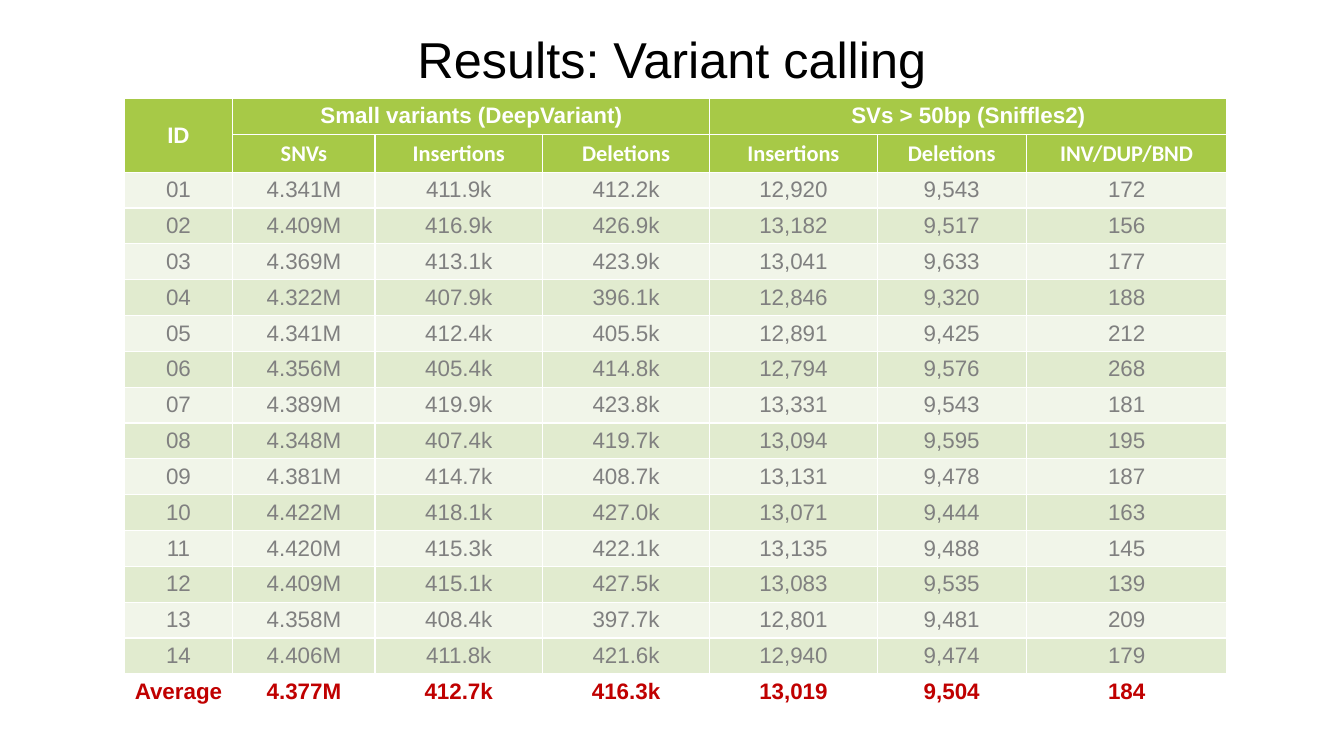
import pptx
import pptx.util
import pptx.oxml
import pptx.dml.color
import pptx.enum.text
from lxml import etree

RGBColor = pptx.dml.color.RGBColor
WHITE = RGBColor(0xFF, 0xFF, 0xFF)
BLACK = RGBColor(0x00, 0x00, 0x00)
GREEN = RGBColor(0xA7, 0xC9, 0x47)
PALE = RGBColor(0xF1, 0xF5, 0xE9)
LIGHT = RGBColor(0xE1, 0xEB, 0xCF)
GREY = RGBColor(0x80, 0x80, 0x80)
RED = RGBColor(0xC0, 0x00, 0x00)

Inches = pptx.util.Inches
Pt = pptx.util.Pt
ANCHOR = pptx.enum.text.MSO_ANCHOR
CENTER = pptx.enum.text.PP_ALIGN.CENTER

DATA = """
ID|Small variants (DeepVariant)|||SVs > 50bp (Sniffles2)||
|SNVs|Insertions|Deletions|Insertions|Deletions|INV/DUP/BND
01|4.341M|411.9k|412.2k|12,920|9,543|172
02|4.409M|416.9k|426.9k|13,182|9,517|156
03|4.369M|413.1k|423.9k|13,041|9,633|177
04|4.322M|407.9k|396.1k|12,846|9,320|188
05|4.341M|412.4k|405.5k|12,891|9,425|212
06|4.356M|405.4k|414.8k|12,794|9,576|268
07|4.389M|419.9k|423.8k|13,331|9,543|181
08|4.348M|407.4k|419.7k|13,094|9,595|195
09|4.381M|414.7k|408.7k|13,131|9,478|187
10|4.422M|418.1k|427.0k|13,071|9,444|163
11|4.420M|415.3k|422.1k|13,135|9,488|145
12|4.409M|415.1k|427.5k|13,083|9,535|139
13|4.358M|408.4k|397.7k|12,801|9,481|209
14|4.406M|411.8k|421.6k|12,940|9,474|179
Average|4.377M|412.7k|416.3k|13,019|9,504|184
"""
rows = [line.split("|") for line in DATA.strip().splitlines()]
wide = [1.08, 1.41, 1.66, 1.66, 1.66, 1.48, 1.99]


def style(para, size, name, color, bold):
    para.alignment = CENTER
    for key, value in {"size": Pt(size), "name": name, "bold": bold}.items():
        setattr(para.font, key, value)
    para.font.color.rgb = color


def edge(cell):
    props = cell._tc.get_or_add_tcPr()
    for side in ("a:lnL", "a:lnR", "a:lnT", "a:lnB"):
        line = etree.SubElement(props, pptx.oxml.ns.qn(side), w=str(Pt(1)))
        fill = etree.SubElement(line, pptx.oxml.ns.qn("a:solidFill"))
        etree.SubElement(fill, pptx.oxml.ns.qn("a:srgbClr"), val=str(WHITE))


deck = pptx.Presentation()
deck.slide_width = Inches(13.33)
deck.slide_height = Inches(7.5)
slide = deck.slides.add_slide(deck.slide_layouts[5])

title = slide.shapes.title
place = {"left": 0, "top": Inches(-0.04), "width": deck.slide_width, "height": Inches(1.19)}
for key, value in place.items():
    setattr(title, key, value)
frame = title.text_frame
frame.text = "Results: Variant calling"
inset = {"margin_left": Inches(0.1), "margin_right": Inches(0.1), "margin_top": Inches(0.05),
         "margin_bottom": 0, "vertical_anchor": ANCHOR.MIDDLE}
for key, value in inset.items():
    setattr(frame, key, value)
style(frame.paragraphs[0], 36, "Arial", BLACK, False)

grid = slide.shapes.add_table(len(rows), len(wide), Inches(1.23), Inches(0.98),
                              Inches(sum(wide)), Inches(6.05)).table
for col, width in zip(grid.columns, wide):
    col.width = Inches(width)

last = len(rows) - 1
for r, row in enumerate(rows):
    if r < 2:
        fill, ink = GREEN, WHITE
    elif r == last:
        fill, ink = WHITE, RED
    else:
        fill, ink = (PALE, LIGHT)[r % 2], GREY
    for c, text in enumerate(row):
        cell = grid.cell(r, c)
        cell.text = text
        cell.vertical_anchor = ANCHOR.TOP if r < 2 and c else ANCHOR.MIDDLE
        edge(cell)
        cell.fill.solid()
        cell.fill.fore_color.rgb = fill
        face = "Calibri" if r == 1 else "Arial"
        style(cell.text_frame.paragraphs[0], 16, face, ink, r < 2 or r == last)

for start, end in (((0, 0), (1, 0)), ((0, 1), (0, 3)), ((0, 4), (0, 6))):
    grid.cell(*start).merge(grid.cell(*end))

deck.save("out.pptx")
